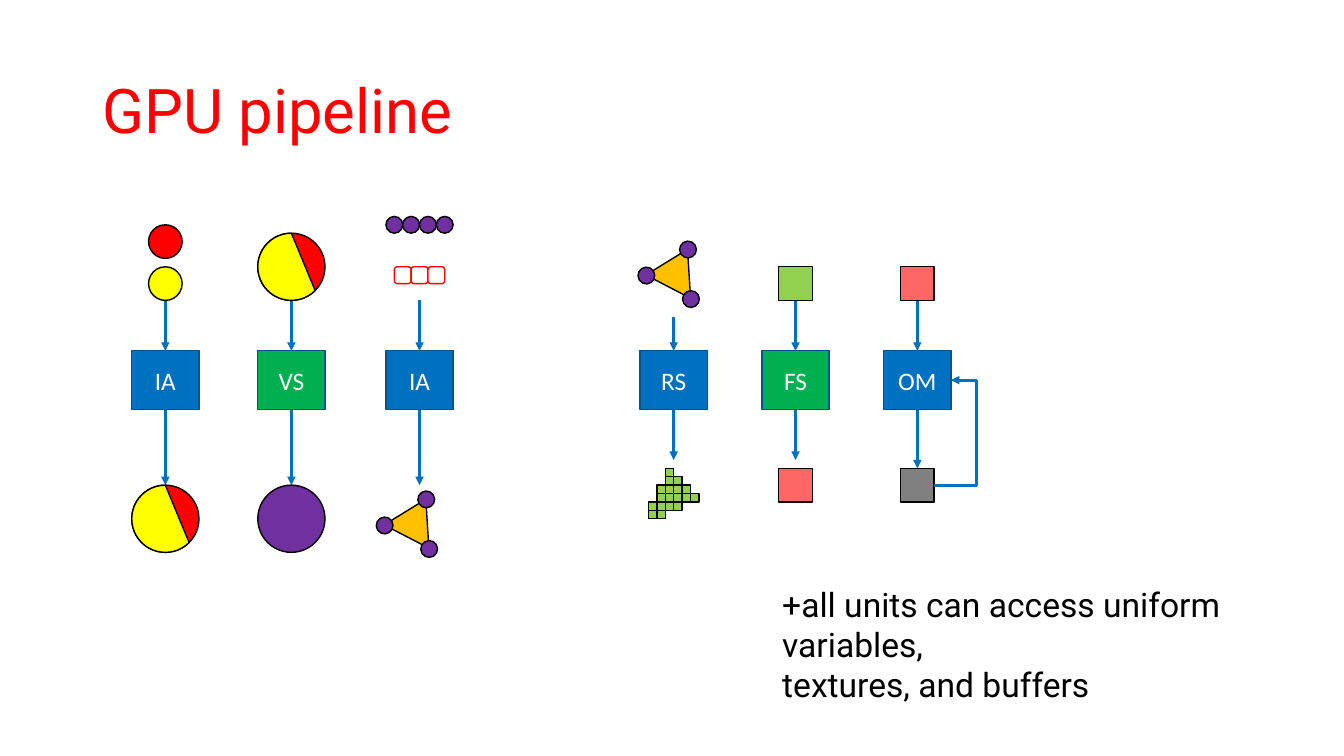
from pptx import Presentation
from pptx.dml.color import RGBColor
from pptx.enum.shapes import MSO_CONNECTOR, MSO_SHAPE
from pptx.enum.text import MSO_ANCHOR, PP_ALIGN
from pptx.util import Inches, Pt
from lxml import etree

RECT, OVAL, CHORD = MSO_SHAPE.RECTANGLE, MSO_SHAPE.OVAL, MSO_SHAPE.CHORD
ROUND, TRI = MSO_SHAPE.ROUNDED_RECTANGLE, MSO_SHAPE.ISOSCELES_TRIANGLE
STRAIGHT, ELBOW = MSO_CONNECTOR.STRAIGHT, MSO_CONNECTOR.ELBOW
MIDDLE, LEFT, CENTER = MSO_ANCHOR.MIDDLE, PP_ALIGN.LEFT, PP_ALIGN.CENTER
NS = "http://schemas.openxmlformats.org/drawingml/2006/main"
BLUE, GREEN, RED, YELLOW = "0070C0", "00B050", "FF0000", "FFFF00"
PURPLE, LIME, PINK, BLACK = "7030A0", "92D050", "FF6666", "000000"

# Grid of 1/12 inch: column 0 is the first stage's centre, row 0 the boxes' top
UNIT, X0, Y0 = 1 / 12, 1.64, 3.48
rgb = RGBColor.from_string

deck = Presentation()
deck.slide_width, deck.slide_height = Inches(13.33), Inches(7.5)
slide = deck.slides.add_slide(deck.slide_layouts[5])
shapes = slide.shapes


def draw(kind, mid, row, wide, high, fill, line=BLACK, turn=0):
    """Add a shape centred on column mid with its top on the given row."""
    item = shapes.add_shape(kind, Inches(X0 + (mid - wide / 2) * UNIT),
                            Inches(Y0 + row * UNIT),
                            Inches(wide * UNIT), Inches(high * UNIT))
    item.shadow.inherit = False
    item.fill.solid()
    item.fill.fore_color.rgb = rgb(fill)
    item.line.color.rgb = rgb(line)
    item.line.width = Pt(1)
    item.rotation = turn
    return item


def link(kind, col, row, col2, row2):
    """Add an arrow between two grid points."""
    line = shapes.add_connector(
        kind, Inches(X0 + col * UNIT), Inches(Y0 + row * UNIT),
        Inches(X0 + col2 * UNIT), Inches(Y0 + row2 * UNIT))
    line.line.color.rgb = rgb(BLUE)
    line.line.width = Pt(2)
    props = line._element.spPr
    etree.SubElement(props.find(f"{{{NS}}}ln"), f"{{{NS}}}tailEnd", type="triangle")
    etree.SubElement(props, f"{{{NS}}}effectLst")
    return line


# Title
title = shapes.title
title.left, title.top = Inches(0.92), Inches(0.4)
title.width, title.height = Inches(11.5), Inches(1.45)
title.text_frame.vertical_anchor = MIDDLE
para = title.text_frame.paragraphs[0]
para.alignment, para.line_spacing = LEFT, 0.9
run = para.add_run()
run.text = "GPU pipeline"
run.font.name, run.font.size = "Roboto", Pt(44)
run.font.color.rgb = rgb(RED)

# Stages: name, column, fill, start row of arrow in, end row of arrow out
IN, VERT, PRIM, RAST, FRAG, OUT = 0, 15, 30.25, 60.5, 75, 89.5
stages = [("IA", IN, BLUE, -6, 16), ("VS", VERT, GREEN, -6, 16),
          ("IA", PRIM, BLUE, -6, 16), ("RS", RAST, BLUE, -4, 13),
          ("FS", FRAG, GREEN, -6, 13), ("OM", OUT, BLUE, -6, 14)]
for name, col, fill, start, end in stages:
    box = draw(RECT, col, 0, 8, 7, fill, "00538E")
    box.text_frame.vertical_anchor = MIDDLE
    para = box.text_frame.paragraphs[0]
    para.alignment = CENTER
    run = para.add_run()
    run.text = name
    run.font.name, run.font.size = "Calibri", Pt(18)
    run.font.color.rgb = rgb("FFFFFF")
    link(STRAIGHT, col, start, col, 0)
    link(STRAIGHT, col, 7, col, end)

# Vertex attributes and vertices
draw(OVAL, IN, -15, 4, 4, RED)
draw(OVAL, IN, -10, 4, 4, YELLOW)
for col, row in [(IN, 16), (VERT, -14)]:
    draw(OVAL, col, row, 8, 8, RED)
    draw(CHORD, col, row, 8, 8, YELLOW)
draw(OVAL, VERT, 16, 8, 8, PURPLE)

# Vertex list and index list
for n in range(4):
    draw(OVAL, PRIM - 3 + 2 * n, -16, 2, 2, PURPLE)
for n in range(3):
    draw(ROUND, PRIM - 2 + 2 * n, -10, 2, 2, "FFFFFF", RED)

# Triangles with corner vertices, by centre
for col, row in [(PRIM - 0.4, 19.9), (RAST + 0.5, -9.85)]:
    draw(TRI, col, row - 2.5, 6, 5, "FFC000", turn=27.4)
    for dx, dy in [(1.2, -2.2), (-3.75, 0.9), (1.55, 3.7)]:
        draw(OVAL, col + dx, row + dy - 1, 2, 2, PURPLE, turn=27.4)

# Rasterised cells: first and last column of each row
spans = [(2, 2), (2, 3), (1, 4), (1, 5), (0, 3), (0, 1)]
for n, (first, last) in enumerate(spans):
    for cell in range(first, last + 1):
        draw(RECT, RAST - 2.5 + cell, 14 + n, 1, 1, LIME)

# Fragments and pixels
for col, row, fill in [(FRAG, -10, LIME), (FRAG, 14, PINK),
                       (OUT, -10, PINK), (OUT, 14, "808080")]:
    draw(RECT, col, row, 4, 4, fill)

# Feedback from the pixel to the output merger
loop = link(ELBOW, OUT + 2, 16, OUT + 4, 3.5)
geom = loop._element.spPr.find(f"{{{NS}}}prstGeom")
guides = geom.find(f"{{{NS}}}avLst")
if guides is None:
    guides = etree.SubElement(geom, f"{{{NS}}}avLst")
etree.SubElement(guides, f"{{{NS}}}gd", name="adj1", fmla="val 250000")

# Note
note = shapes.add_textbox(Inches(7.66), Inches(5.74), Inches(5.39), Inches(0.91))
frame = note.text_frame
frame.word_wrap = True
lines = ["+all units can access uniform variables,", "textures, and buffers"]
for n, text in enumerate(lines):
    para = frame.add_paragraph() if n else frame.paragraphs[0]
    run = para.add_run()
    run.text = text
    run.font.name, run.font.size = "Roboto", Pt(24)
    run.font.color.rgb = rgb(BLACK)

deck.save("out.pptx")
